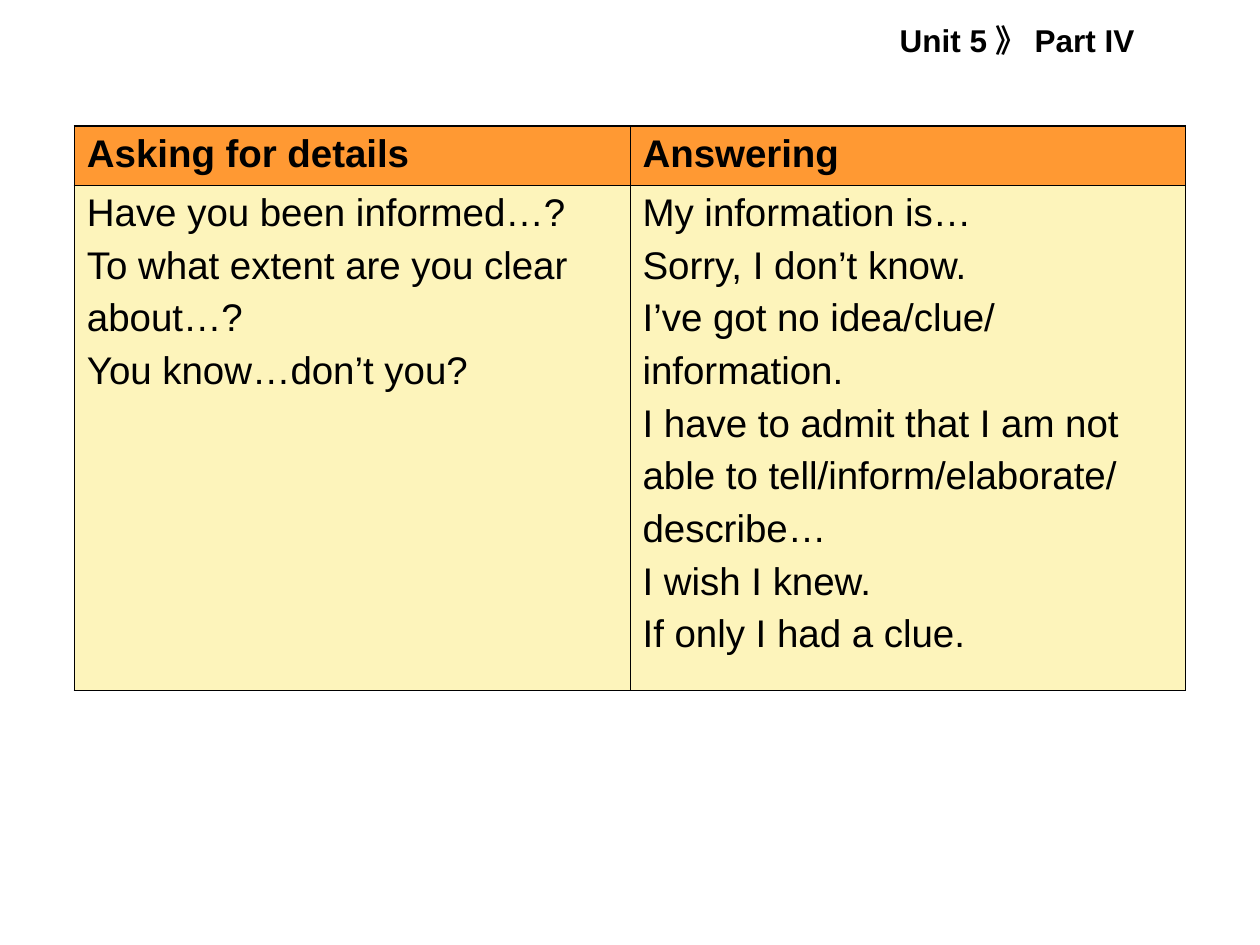
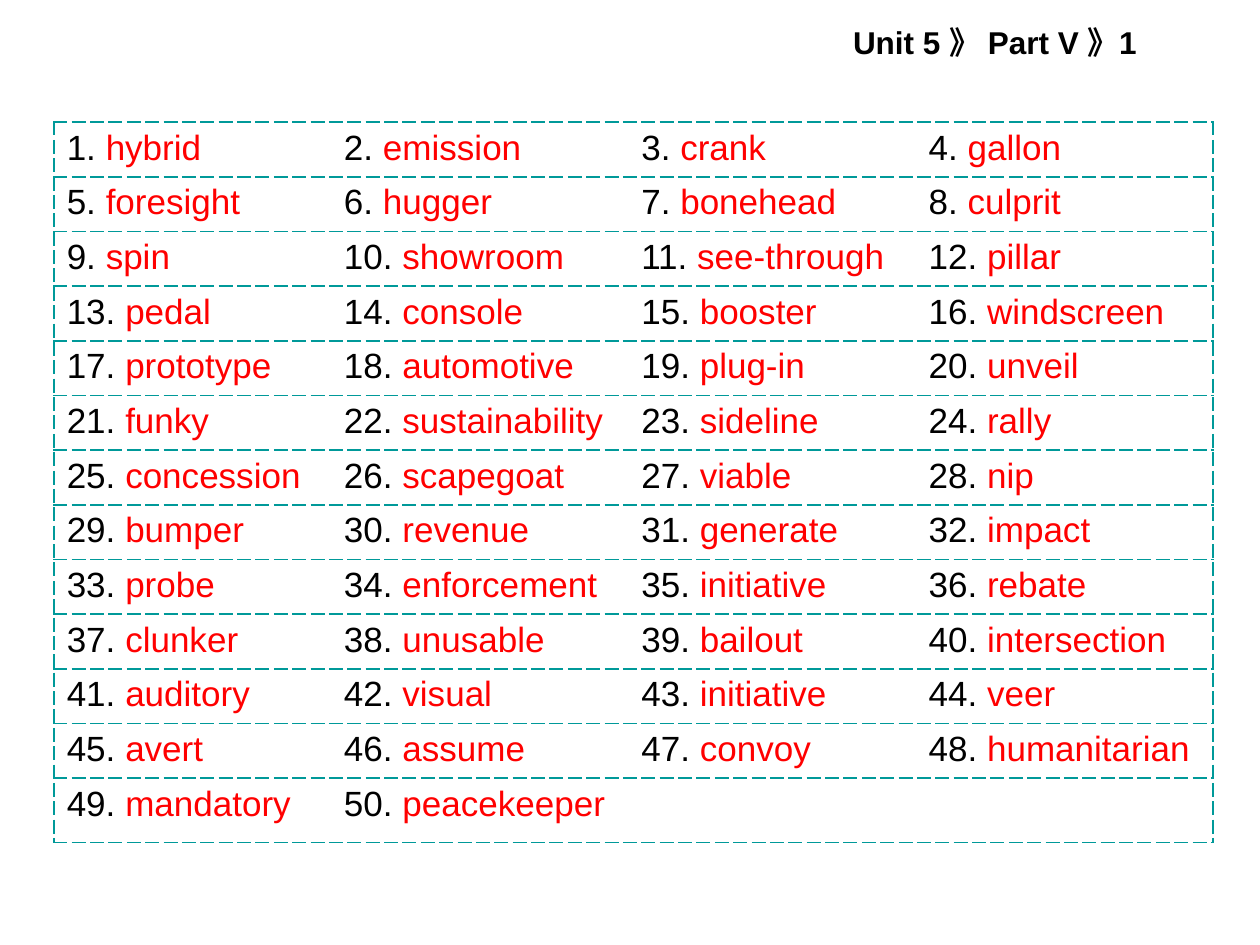
from lxml.etree import SubElement
from pptx import Presentation
from pptx.dml.color import RGBColor
from pptx.enum.text import MSO_ANCHOR, MSO_AUTO_SIZE, PP_ALIGN
from pptx.oxml.ns import qn
from pptx.util import Inches, Pt

FONT = "Arial"
BLACK = RGBColor(0x00, 0x00, 0x00)
RED = RGBColor(0xFF, 0x00, 0x00)
TEAL = RGBColor(0x00, 0x99, 0x99)
ORANGE = RGBColor(0xFF, 0x99, 0x33)
CREAM = RGBColor(0xFD, 0xF4, 0xBB)
THICK, THIN = Pt(1.08), Pt(0.45)

PHRASES = {
    "Asking for details": [
        "Have you been informed…?",
        "To what extent are you clear",
        "about…?",
        "You know…don’t you?",
    ],
    "Answering": [
        "My information is…",
        "Sorry, I don’t know.",
        "I’ve got no idea/clue/",
        "information.",
        "I have to admit that I am not",
        "able to tell/inform/elaborate/",
        "describe…",
        "I wish I knew.",
        "If only I had a clue.",
    ],
}

WORDS = """
hybrid emission crank gallon
foresight hugger bonehead culprit
spin showroom see-through pillar
pedal console booster windscreen
prototype automotive plug-in unveil
funky sustainability sideline rally
concession scapegoat viable nip
bumper revenue generate impact
probe enforcement initiative rebate
clunker unusable bailout intersection
auditory visual initiative veer
avert assume convoy humanitarian
mandatory peacekeeper
""".split()


def add_span(para, text, size, color=BLACK, bold=False):
    """Add one formatted run to a paragraph."""
    span = para.add_run()
    span.text = text
    span.font.name = FONT
    span.font.size = Pt(size)
    span.font.bold = bold
    span.font.color.rgb = color


def add_page(deck, heading, left, top, width):
    """Add a slide with its unit heading at the upper right."""
    page = deck.slides.add_slide(deck.slide_layouts[5])
    title = page.shapes.title
    title.left, title.top, title.width, title.height = left, top, width, Inches(0.4)
    frame = title.text_frame
    frame.word_wrap = False
    frame.auto_size = MSO_AUTO_SIZE.SHAPE_TO_FIT_TEXT
    frame.vertical_anchor = MSO_ANCHOR.TOP
    para = frame.paragraphs[0]
    para.alignment = PP_ALIGN.LEFT
    add_span(para, heading, 18, bold=True)
    return page


def add_plain_table(page, box, row_heights, column_widths):
    """Add a table without banding, sized by its rows and columns."""
    table = page.shapes.add_table(len(row_heights), len(column_widths), *box).table
    table.first_row = table.horz_banding = False
    for row, height in zip(table.rows, row_heights):
        row.height = height
    for column, width in zip(table.columns, column_widths):
        column.width = width
    return table


def set_borders(cell, widths, color, dash="solid"):
    """Draw the left, right, top and bottom borders; a width of zero hides one."""
    properties = cell._tc.get_or_add_tcPr()
    for index, (side, width) in enumerate(zip("LRTB", widths)):
        line = SubElement(properties, qn(f"a:ln{side}"), w=str(int(width)))
        properties.insert(index, line)
        if width:
            fill = SubElement(line, qn("a:solidFill"))
            SubElement(fill, qn("a:srgbClr"), val=str(color))
            SubElement(line, qn("a:prstDash"), val=dash)
        else:
            SubElement(line, qn("a:noFill"))


def fill_phrase_cell(cell, lines, color, bold):
    """Fill a cell with one paragraph for each line."""
    cell.fill.solid()
    cell.fill.fore_color.rgb = color
    frame = cell.text_frame
    for index, line in enumerate(lines):
        para = frame.add_paragraph() if index else frame.paragraphs[0]
        para.space_before = Pt(5.5)
        add_span(para, line, 22, bold=bold)


def add_phrase_table(page, left, top, width, height):
    """Place the questions and answers under their two headings."""
    header_height = Inches(0.47)
    table = add_plain_table(
        page, (left, top, width, height),
        [header_height, height - header_height], [width // 2] * 2)
    for column, (heading, lines) in enumerate(PHRASES.items()):
        sides = (THIN, THICK) if column else (THICK, THIN)
        header, body = table.cell(0, column), table.cell(1, column)
        fill_phrase_cell(header, [heading], ORANGE, True)
        fill_phrase_cell(body, lines, CREAM, False)
        set_borders(header, (*sides, THICK, THIN), BLACK)
        set_borders(body, (*sides, THIN, THICK), BLACK)


def add_word_table(page, left, top, width, height):
    """Place the numbered words row by row between dashed lines."""
    column_widths = [Inches(inches) for inches in (2.2, 2.36, 2.28, 2.36)]
    count = len(column_widths)
    row_count = -(-len(WORDS) // count)
    last_height = Inches(0.51)
    row_heights = [(height - last_height) // (row_count - 1)] * (row_count - 1)
    table = add_plain_table(
        page, (left, top, width, height), row_heights + [last_height], column_widths)
    for index, cell in enumerate(table.iter_cells()):
        column = index % count
        cell.fill.background()
        left_line = THICK if column == 0 else 0
        right_line = THICK if column == count - 1 else 0
        set_borders(cell, (left_line, right_line, THICK, THICK), TEAL, "dash")
        if index < len(WORDS):
            para = cell.text_frame.paragraphs[0]
            add_span(para, f"{index + 1}. ", 20)
            add_span(para, WORDS[index], 20, RED)


def main():
    """Build both slides and save the deck."""
    deck = Presentation()
    deck.slide_width, deck.slide_height = Inches(10), Inches(7.5)
    page = add_page(deck, "Unit 5 》 Part IV", Inches(7.04), Inches(0.12), Inches(2.19))
    add_phrase_table(page, Inches(0.59), Inches(1), Inches(8.82), Inches(4.48))
    page = add_page(deck, "Unit 5 》 Part V 》1", Inches(6.67), Inches(0.13), Inches(2.7))
    add_word_table(page, Inches(0.43), Inches(0.97), Inches(9.2), Inches(5.71))
    deck.save("out.pptx")


if __name__ == "__main__":
    main()
